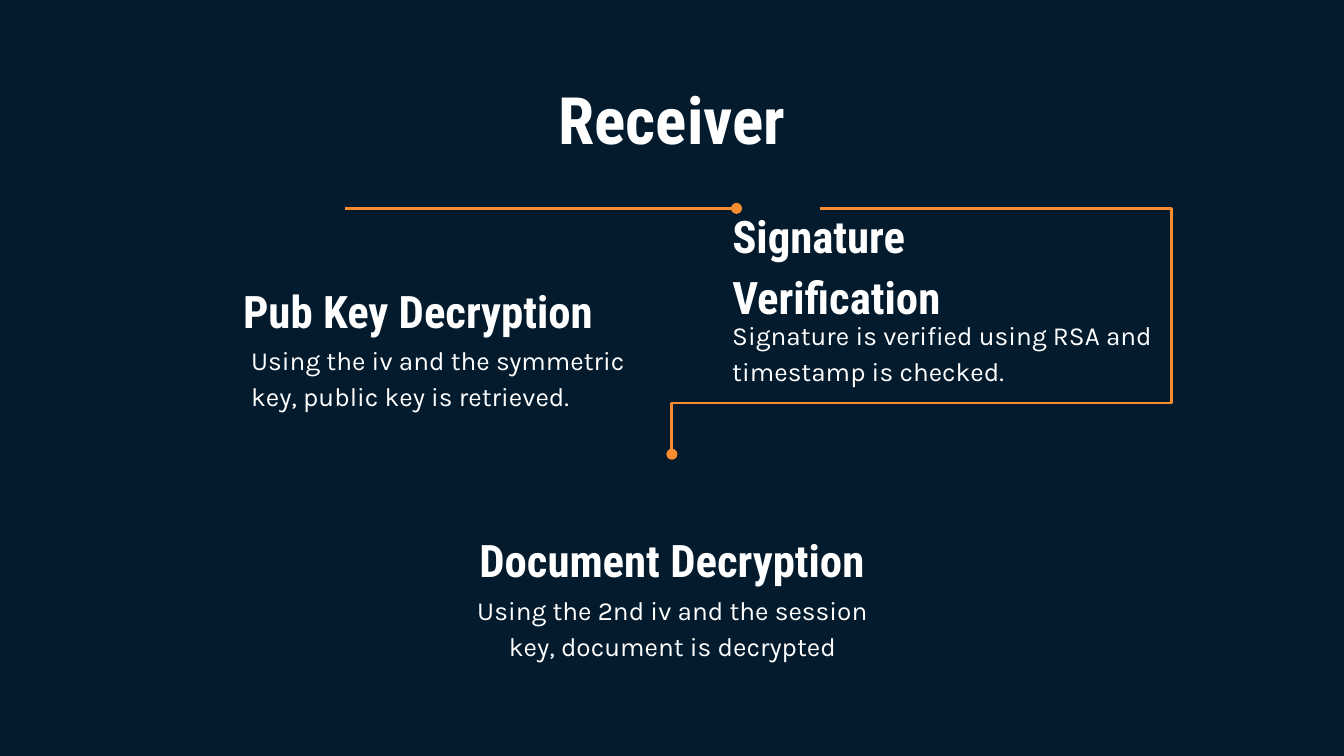
from dataclasses import dataclass

from lxml import etree
from pptx import Presentation
from pptx.dml.color import RGBColor
from pptx.enum import shapes, text
from pptx.oxml import ns
from pptx.util import Inches, Pt


@dataclass(frozen=True)
class Theme:
    background = RGBColor.from_string("031B2D")
    ink = RGBColor.from_string("FFFFFF")
    accent = RGBColor.from_string("F88D2F")
    heading_font = "Roboto Condensed"
    body_font = "Karla"
    title_size = Pt(35)
    heading_size = Pt(24)
    body_size = Pt(14)
    line_width = Pt(1.5)


THEME = Theme()
LEFT, CENTER = text.PP_ALIGN.LEFT, text.PP_ALIGN.CENTER
TOP, BOTTOM = text.MSO_ANCHOR.TOP, text.MSO_ANCHOR.BOTTOM

# Heading, heading box, description, description box, alignment
STEPS = [
    ("Pub Key Decryption", (1.71, 2.07, 2.82, 0.54),
     "Using the iv and the symmetric key, public key is retrieved.",
     (1.77, 2.43, 3.18, 0.69), LEFT),
    ("Signature Verification", (5.35, 1.97, 3.08, 0.54),
     "Signature is verified using RSA and timestamp is checked.",
     (5.35, 2.24, 3.5, 0.69), LEFT),
    ("Document Decryption", (2.95, 3.92, 4.1, 0.54),
     "Using the 2nd iv and the session key, document is decrypted",
     (3.42, 4.29, 3.17, 0.69), CENTER),
]


def write(shape, words, *, size, font, bold=False, align=LEFT, anchor=TOP, spacing=1.15):
    tf = shape.text_frame
    tf.word_wrap = True
    tf.auto_size = text.MSO_AUTO_SIZE.NONE
    tf.vertical_anchor = anchor
    tf.margin_left = tf.margin_right = tf.margin_top = tf.margin_bottom = Inches(0.1)
    p = tf.paragraphs[0]
    p.alignment = align
    p.line_spacing = spacing
    r = p.add_run()
    r.text = words
    r.font.size, r.font.name, r.font.bold = size, font, bold
    r.font.color.rgb = THEME.ink


def add_title(s, words, box):
    title = s.shapes.title
    title.left, title.top, title.width, title.height = map(Inches, box)
    write(title, words, size=THEME.title_size, font=THEME.heading_font,
          bold=True, align=CENTER, spacing=1.0)


def add_step(s, heading, heading_box, description, description_box, align):
    body = s.shapes.add_textbox(*map(Inches, description_box))
    write(body, description, size=THEME.body_size, font=THEME.body_font, align=align)
    head = s.shapes.add_textbox(*map(Inches, heading_box))
    write(head, heading, size=THEME.heading_size, font=THEME.heading_font,
          bold=True, align=align, anchor=BOTTOM)


def add_link(s, start, end, kind=shapes.MSO_CONNECTOR.STRAIGHT):
    """Draw a connector with a round dot at its end."""
    link = s.shapes.add_connector(kind, *map(Inches, start + end))
    link.line.color.rgb = THEME.accent
    link.line.width = THEME.line_width
    sp_pr = link._element.spPr
    etree.SubElement(sp_pr.find(ns.qn("a:ln")), ns.qn("a:tailEnd"), type="oval")
    etree.SubElement(sp_pr, ns.qn("a:effectLst"))
    return link


def add_wrapping_link(s, start, end, turn_x, turn_y):
    """Run sideways to turn_x, down to turn_y, then back across and down to end."""
    link = add_link(s, start, end, shapes.MSO_CONNECTOR.ELBOW)
    geometry = link._element.spPr.find(ns.qn("a:prstGeom"))
    geometry.set("prst", "bentConnector4")
    guides = geometry.get_or_add_avLst()
    ratios = ((turn_x - start[0]) / (end[0] - start[0]),
              (turn_y - start[1]) / (end[1] - start[1]))
    for i, ratio in enumerate(ratios, 1):
        etree.SubElement(guides, ns.qn("a:gd"), name=f"adj{i}",
                         fmla=f"val {round(ratio * 100000)}")


def main():
    prs = Presentation()
    prs.slide_width = Inches(10)
    prs.slide_height = prs.slide_width * 9 // 16
    s = prs.slides.add_slide(prs.slide_layouts.get_by_name("Title Only"))
    s.background.fill.solid()
    s.background.fill.fore_color.rgb = THEME.background

    add_title(s, "Receiver", (0.79, 0.49, 8.42, 0.63))
    for step in STEPS:
        add_step(s, *step)
    add_link(s, (2.57, 1.55), (5.48, 1.55))
    add_wrapping_link(s, (6.1, 1.55), (5, 3.38), turn_x=8.72, turn_y=3)
    prs.save("out.pptx")


if __name__ == "__main__":
    main()
